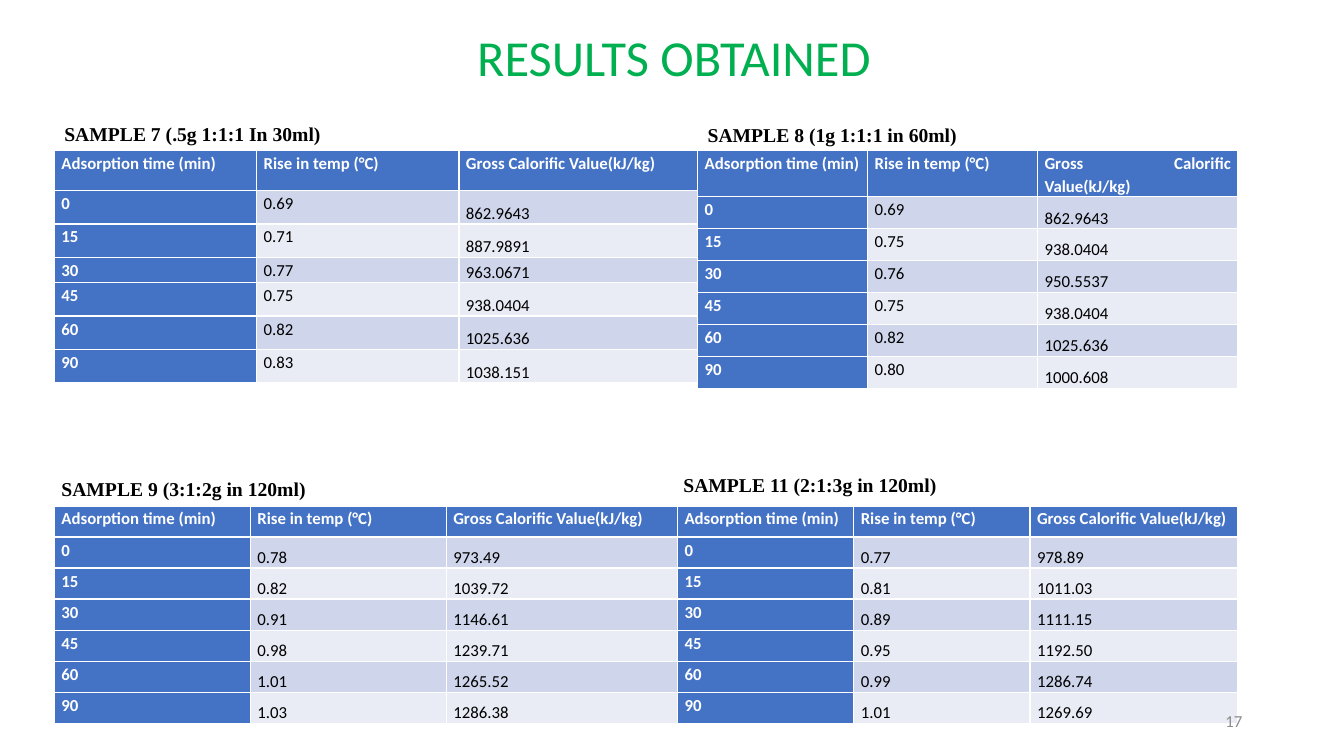
import dataclasses

import pptx
import pptx.dml.color
import pptx.enum.text
import pptx.slide
import pptx.util

RGBColor = pptx.dml.color.RGBColor
Align = pptx.enum.text.PP_ALIGN
Anchor = pptx.enum.text.MSO_ANCHOR

GREEN = RGBColor(0x00, 0xB0, 0x50)
BLUE = RGBColor(0x44, 0x72, 0xC4)
DARK_BAND = RGBColor(0xCF, 0xD5, 0xEA)
LIGHT_BAND = RGBColor(0xE9, 0xEB, 0xF5)
WHITE = RGBColor(0xFF, 0xFF, 0xFF)
BLACK = RGBColor(0x00, 0x00, 0x00)
GREY = RGBColor(0x8C, 0x8C, 0x8C)

SLIDE_WIDTH = pptx.util.Inches(13.33)
SLIDE_HEIGHT = pptx.util.Inches(7.5)
CELL_MARGIN = pptx.util.Inches(0.07)

HEADINGS = ("Adsorption time (min)", "Rise in temp (°C)", "Gross Calorific Value(kJ/kg)")
TIMES = ("0", "15", "30", "45", "60", "90")
COLUMN_RATIOS = (1, 1, 1.18)


@dataclasses.dataclass(frozen=True)
class Area:
    """A rectangle in percent of the slide's width and height."""
    left: float
    top: float
    width: float
    height: float

    def box(self) -> tuple[int, int, int, int]:
        return (across(self.left), down(self.top), across(self.width), down(self.height))


@dataclasses.dataclass(frozen=True)
class Sample:
    caption: str
    caption_area: Area
    table_area: Area
    row_heights: tuple[float, ...]
    rises: tuple[str, ...]
    calorific_values: tuple[str, ...]
    heading_align: Align = Align.JUSTIFY
    rise_anchor: Anchor = Anchor.BOTTOM
    caption_anchor: Anchor = Anchor.TOP
    caption_wraps: bool = False


SAMPLES = (
    Sample("SAMPLE 7 (.5g 1:1:1 In 30ml)",
           Area(4.05, 15.47, 21.23, 4.53), Area(4.05, 19.87, 47.86, 30.8),
           (5.33, 4.43, 4.43, 3.33, 4.43, 4.43, 4.43),
           ("0.69", "0.71", "0.77", "0.75", "0.82", "0.83"),
           ("862.9643", "887.9891", "963.0671", "938.0404", "1025.636", "1038.151"),
           Align.LEFT, Anchor.TOP, Anchor.MIDDLE, True),
    Sample("SAMPLE 8 (1g 1:1:1 in 60ml)",
           Area(51.91, 15.6, 20.11, 4.53), Area(51.91, 19.87, 40.21, 31.33),
           (5.07,) + (4.23,) * 6,
           ("0.69", "0.75", "0.76", "0.75", "0.82", "0.80"),
           ("862.9643", "938.0404", "950.5537", "938.0404", "1025.636", "1000.608"),
           Align.JUSTIFY, Anchor.TOP, Anchor.MIDDLE, True),
    Sample("SAMPLE 9 (3:1:2g in 120ml)",
           Area(3.83, 62.4, 19.8, 4.53), Area(4.05, 66.93, 46.36, 28.8),
           (4.11,) * 7,
           ("0.78", "0.82", "0.91", "0.98", "1.01", "1.03"),
           ("973.49", "1039.72", "1146.61", "1239.71", "1265.52", "1286.38")),
    Sample("SAMPLE 11 (2:1:3g in 120ml)",
           Area(50.11, 61.87, 20.48, 4.53), Area(50.41, 66.93, 41.71, 28.8),
           (4.11,) * 7,
           ("0.77", "0.81", "0.89", "0.95", "0.99", "1.01"),
           ("978.89", "1011.03", "1111.15", "1192.50", "1286.74", "1269.69")),
)


def across(percent: float) -> int:
    return round(SLIDE_WIDTH * percent / 100)


def down(percent: float) -> int:
    return round(SLIDE_HEIGHT * percent / 100)


def format_text(frame, size: float, font: str, color: RGBColor, align: Align,
                bold: bool = False) -> None:
    for para in frame.paragraphs:
        para.alignment = align
        for span in para.runs:
            span.font.size = pptx.util.Pt(size)
            span.font.name = font
            span.font.color.rgb = color
            span.font.bold = bold


def add_title(page: pptx.slide.Slide) -> None:
    title = page.shapes.title
    title.left, title.top, title.width, title.height = Area(5.55, 3.73, 89.2, 16.27).box()
    title.text_frame.text = "RESULTS OBTAINED"
    title.text_frame.vertical_anchor = Anchor.TOP
    title.text_frame.paragraphs[0].line_spacing = 0.9
    format_text(title.text_frame, 36, "Calibri", GREEN, Align.CENTER)


def add_text(page: pptx.slide.Slide, area: Area, text: str, anchor: Anchor, wraps: bool):
    frame = page.shapes.add_textbox(*area.box()).text_frame
    frame.word_wrap = wraps
    frame.vertical_anchor = anchor
    frame.text = text
    return frame


def fill_cell(cell, text: str, fill: RGBColor, align: Align, anchor: Anchor) -> None:
    cell.fill.solid()
    cell.fill.fore_color.rgb = fill
    cell.margin_left = cell.margin_right = CELL_MARGIN
    cell.margin_top = cell.margin_bottom = 0
    cell.vertical_anchor = anchor
    cell.text_frame.text = text
    para = cell.text_frame.paragraphs[0]
    para.line_spacing = 1.15
    para.space_after = pptx.util.Pt(10)
    is_heading = fill == BLUE
    format_text(cell.text_frame, 12, "Calibri", WHITE if is_heading else BLACK, align, is_heading)


def add_sample_table(page: pptx.slide.Slide, sample: Sample) -> None:
    rows = [HEADINGS, *zip(TIMES, sample.rises, sample.calorific_values)]
    table = page.shapes.add_table(len(rows), len(HEADINGS), *sample.table_area.box()).table
    table.first_col = True
    for column, ratio in zip(table.columns, COLUMN_RATIOS):
        column.width = across(sample.table_area.width * ratio / sum(COLUMN_RATIOS))
    for row, height in zip(table.rows, sample.row_heights):
        row.height = down(height)

    anchors = (Anchor.TOP, sample.rise_anchor, Anchor.BOTTOM)
    for row_index, row in enumerate(rows):
        is_header = row_index == 0
        band = DARK_BAND if row_index % 2 else LIGHT_BAND
        for column_index, text in enumerate(row):
            fill_cell(table.cell(row_index, column_index), text,
                      BLUE if is_header or column_index == 0 else band,
                      sample.heading_align if is_header else Align.JUSTIFY,
                      Anchor.TOP if is_header else anchors[column_index])


def add_sample(page: pptx.slide.Slide, sample: Sample) -> None:
    add_sample_table(page, sample)
    caption = add_text(page, sample.caption_area, sample.caption,
                       sample.caption_anchor, sample.caption_wraps)
    format_text(caption, 14, "Times New Roman", BLACK, Align.JUSTIFY, True)


def main() -> None:
    deck = pptx.Presentation()
    deck.slide_width, deck.slide_height = SLIDE_WIDTH, SLIDE_HEIGHT
    page = deck.slides.add_slide(deck.slide_layouts.get_by_name("Title Only"))
    add_title(page)
    for sample in SAMPLES:
        add_sample(page, sample)
    number = add_text(page, Area(70.67, 92.67, 22.5, 5.33), "17", Anchor.MIDDLE, True)
    format_text(number, 12, "Calibri", GREY, Align.RIGHT)
    deck.save("out.pptx")


if __name__ == "__main__":
    main()
